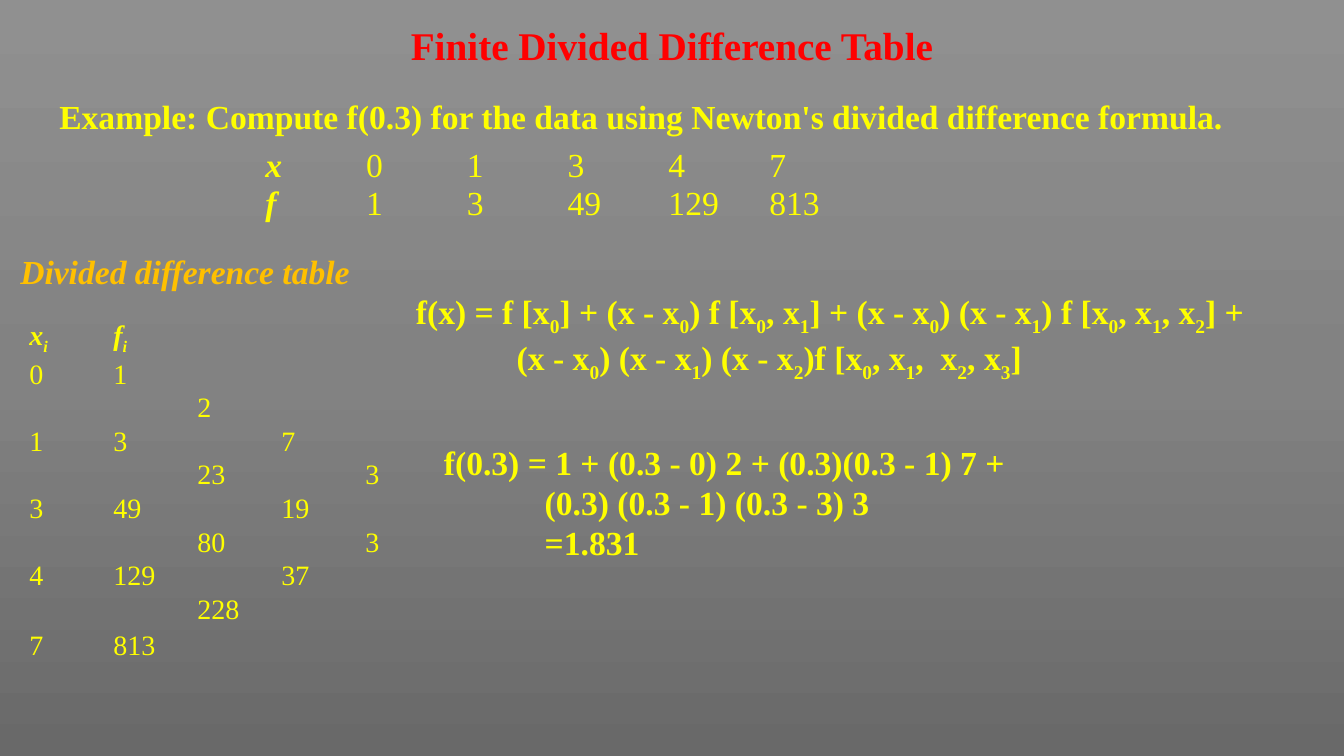
import copy

import pptx
import pptx.util
import pptx.dml.color
import pptx.enum.text
import pptx.oxml.ns

Pt = pptx.util.Pt
MIDDLE = pptx.enum.text.MSO_ANCHOR.MIDDLE
CENTER = pptx.enum.text.PP_ALIGN.CENTER
PLAIN = "{2D5ABB26-0587-4C30-8999-92F81FD0307C}"  # table style without grid

HUES = {"title": "FF0000", "body": "FFFF00", "label": "FFC000"}
SHADES = {0: "909090", 0.5: "828282", 1: "696969"}

POINTS = [["x", 0, 1, 3, 4, 7],
          ["f", 1, 3, 49, 129, 813]]
ORDERS = [["x_i", "f_i"],
          [0, 1],
          ["", "", 2],
          [1, 3, "", 7],
          ["", "", 23, "", 3],
          [3, 49, "", 19],
          ["", "", 80, "", 3],
          [4, 129, "", 37],
          ["", "", 228],
          [7, 813]]
NEWTON = ["f(x) = f [x_0] + (x - x_0) f [x_0, x_1] + (x - x_0) (x - x_1) f [x_0, x_1, x_2] +",
          "(x - x_0) (x - x_1) (x - x_2)f [x_0, x_1,  x_2, x_3]"]
ANSWER = ["f(0.3) = 1 + (0.3 - 0) 2 + (0.3)(0.3 - 1) 7 +",
          "(0.3) (0.3 - 1) (0.3 - 3) 3",
          "=1.831"]


def rgb(code):
    return pptx.dml.color.RGBColor.from_string(code)


def write(para, text, size, hue="body", bold=True, italic=False):
    """Fill a paragraph; the character after each underscore is a subscript."""
    first, *rest = text.split("_")
    parts = [(first, False)]
    for piece in rest:
        parts += [(piece[0], True), (piece[1:], False)]
    style = {"name": "Times New Roman", "size": Pt(size), "bold": bold, "italic": italic}
    for part, low in parts:
        if not part:
            continue
        run = para.add_run()
        run.text = part
        for key, value in style.items():
            setattr(run.font, key, value)
        run.font.color.rgb = rgb(HUES[hue])
        if low:
            run.font._element.set("baseline", "-25000")


def paint(slide):
    """Shade the background from top to bottom."""
    fill = slide.background.fill
    fill.gradient()
    fill.gradient_angle = 270
    stops = slide.element.find(".//" + pptx.oxml.ns.qn("a:gsLst"))
    stops.insert(1, copy.deepcopy(stops[0]))
    for stop, (place, code) in zip(fill.gradient_stops, SHADES.items()):
        stop.position = place
        stop.color.rgb = rgb(code)


def head(slide, box, text):
    title = slide.shapes.title
    title.left, title.top, title.width, title.height = map(Pt, box)
    frame = title.text_frame
    frame.vertical_anchor = MIDDLE
    frame.paragraphs[0].alignment = CENTER
    write(frame.paragraphs[0], text, 28, "title")


def note(slide, box, lines, **style):
    """Place a text box whose lines after the first are indented."""
    frame = slide.shapes.add_textbox(*map(Pt, box)).text_frame
    frame.word_wrap = True
    for i, line in enumerate(lines):
        para = frame.add_paragraph() if i else frame.paragraphs[0]
        if i:
            para._p.get_or_add_pPr().set("marL", str(Pt(72)))
        write(para, line, 24, **style)


def grid(slide, box, rows, size, heights):
    """Place a bare table; its text headings are bold italic."""
    count = max(map(len, rows))
    frame = slide.shapes.add_table(len(rows), count, *map(Pt, box))
    table = frame.table
    table.first_row = table.horz_banding = False
    table._tbl.tblPr.find(pptx.oxml.ns.qn("a:tableStyleId")).text = PLAIN
    for col in table.columns:
        col.width = Pt(box[2] / count)
    for row, height in zip(table.rows, heights):
        row.height = Pt(height)
    for r, row in enumerate(rows):
        for c in range(count):
            cell = table.cell(r, c)
            cell.fill.background()
            cell.vertical_anchor = MIDDLE
            for side in ("left", "right", "top", "bottom"):
                setattr(cell, "margin_" + side, 0)
            value = row[c] if c < len(row) else ""
            name = isinstance(value, str)
            write(cell.text_frame.paragraphs[0], str(value), size, bold=name, italic=name)


def main():
    deck = pptx.Presentation()
    deck.slide_width, deck.slide_height = Pt(960), Pt(540)
    slide = deck.slides.add_slide(deck.slide_layouts[5])
    paint(slide)
    head(slide, (48, 6.5, 864, 51), "Finite Divided Difference Table")
    grid(slide, (189.5, 105, 432, 54), POINTS, 24, [27] * 2)
    note(slide, (35.3, 65, 911.5, 36),
         ["Example: Compute f(0.3) for the data using Newton's divided difference formula."])
    note(slide, (7.4, 176, 267, 36), ["Divided difference table"], hue="label", italic=True)
    grid(slide, (21, 228, 300, 247), ORDERS, 20, [27.5] + [24] * 8 + [27.5])
    note(slide, (290, 204.5, 683, 65.5), NEWTON)
    note(slide, (310, 312, 622, 94), ANSWER)
    deck.save("out.pptx")


if __name__ == "__main__":
    main()
